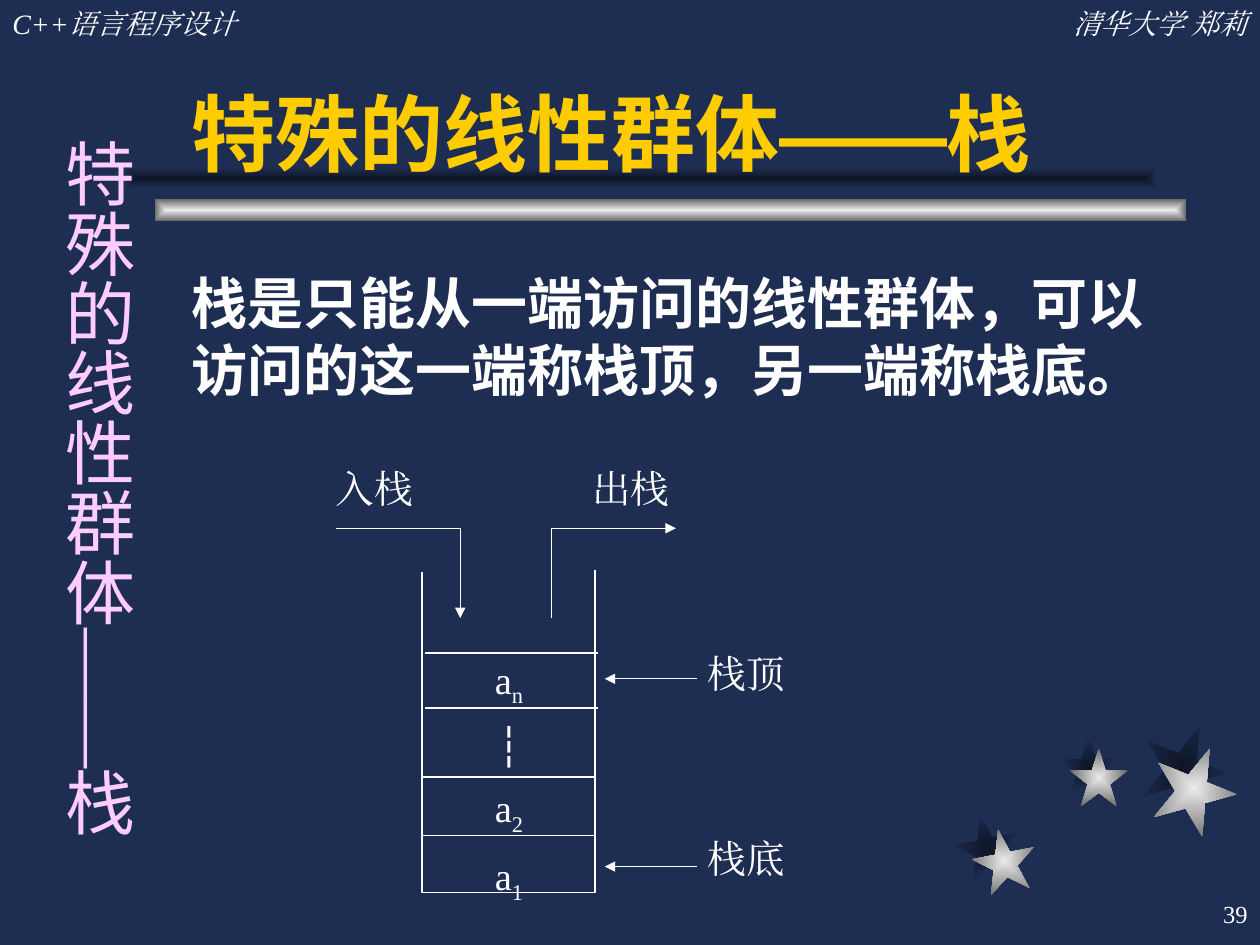
from lxml import etree
from pptx import Presentation
from pptx.dml.color import RGBColor
from pptx.enum import shapes, text
from pptx.oxml.ns import qn
from pptx.util import Pt

NAVY = RGBColor(0x1E, 0x2E, 0x53)
SHADOW = RGBColor(0x0E, 0x15, 0x26)
SILVER = RGBColor(0xEA, 0xEA, 0xEA)
GREY = RGBColor(0x6C, 0x6C, 0x6C)
WHITE = RGBColor(0xFF, 0xFF, 0xFF)
GOLD = RGBColor(0xFF, 0xCC, 0x00)
PINK = RGBColor(0xFF, 0xCC, 0xFF)
SERIF, SANS, CJK = "Times New Roman", "Arial", "Noto Sans CJK SC"
ALIGN, ANCHOR = text.PP_ALIGN, text.MSO_ANCHOR


def add_text(slide, box, paragraphs, size, font=SERIF, color=WHITE, bold=False,
             italic=False, align=ALIGN.LEFT, anchor=ANCHOR.TOP, margins=(7.2, 3.6),
             spacing=None, wrap=True, vertical=False):
    """Each paragraph is a list of (text, run options: font or baseline)."""
    frame = slide.shapes.add_textbox(*map(Pt, box)).text_frame
    frame.word_wrap = wrap
    frame.vertical_anchor = anchor
    frame.margin_left = frame.margin_right = Pt(margins[0])
    frame.margin_top = frame.margin_bottom = Pt(margins[1])
    if vertical:
        frame._txBody.bodyPr.set("vert", "eaVert")
    for index, runs in enumerate(paragraphs):
        paragraph = frame.add_paragraph() if index else frame.paragraphs[0]
        paragraph.alignment = align
        paragraph.line_spacing = spacing
        for words, options in runs:
            run = paragraph.add_run()
            run.text = words
            run.font.size = Pt(size)
            run.font.bold, run.font.italic = bold, italic
            run.font.color.rgb = color
            run.font.name = options.get("font", font)
            props = run._r.get_or_add_rPr()
            etree.SubElement(props, qn("a:ea")).set("typeface", run.font.name)
            if "baseline" in options:
                props.set("baseline", str(options["baseline"]))


def add_glow_shape(slide, kind, box, center, edge, rotation=0):
    """Draw a preset shape whose gradient runs from its centre to its edges."""
    shape = slide.shapes.add_shape(kind, *map(Pt, box))
    shape.shadow.inherit = False
    shape.rotation = rotation
    shape.line.fill.background()
    shape.fill.gradient()
    for stop, color, position in zip(shape.fill.gradient_stops, (center, edge), (0, 1)):
        stop.color.rgb = color
        stop.position = position
    gradient = shape._element.spPr.find(qn("a:gradFill"))
    linear = gradient.find(qn("a:lin"))
    radial = etree.Element(qn("a:path"))
    radial.set("path", "rect")
    focus = etree.SubElement(radial, qn("a:fillToRect"))
    for side in "ltrb":
        focus.set(side, "50000")
    gradient.replace(linear, radial)


def style_line(line_shape, arrow):
    line_shape.line.color.rgb = WHITE
    line_shape.line.width = Pt(0.75)
    if arrow:
        outline = line_shape.line._get_or_add_ln()
        etree.SubElement(outline, qn("a:tailEnd")).set("type", "triangle")


def add_line(slide, x1, y1, x2, y2, arrow=False):
    line = slide.shapes.add_connector(shapes.MSO_CONNECTOR.STRAIGHT,
                                      Pt(x1), Pt(y1), Pt(x2), Pt(y2))
    style_line(line, arrow)
    etree.SubElement(line._element.spPr, qn("a:effectLst"))


def add_bent_line(slide, points, arrow=False):
    start, *rest = [(Pt(x), Pt(y)) for x, y in points]
    builder = slide.shapes.build_freeform(*start)
    builder.add_line_segments(rest, close=False)
    bent = builder.convert_to_shape()
    bent.shadow.inherit = False
    bent.fill.background()
    style_line(bent, arrow)


def draw_stars(slide, left, top):
    # size, rotation, shadow position, star position
    stars = [(36, -11, (0, 51.8), (10, 59.8)),
             (33, 0, (59.8, 7.2), (65.6, 13.8)),
             (48, 22, (106.5, 0), (112.4, 12.2))]
    for layer, colors in ((2, (SHADOW, NAVY)), (3, (SILVER, GREY))):
        for star in stars:
            x, y = star[layer]
            add_glow_shape(slide, shapes.MSO_SHAPE.STAR_5_POINT,
                           (left + x, top + y, star[0], star[0]), *colors, rotation=star[1])


def draw_rule(slide, left, top, width, height):
    bar = shapes.MSO_SHAPE.RECTANGLE
    add_glow_shape(slide, bar, (left + 16.6, top + 18.2, width, height), SILVER, GREY)
    add_glow_shape(slide, bar, (left, top, width, height), SHADOW, NAVY)


def draw_header(slide, width):
    half = 221.8
    add_text(slide, (0, 0, half, 26.6), [[("C++语言程序设计", {})]], 16, italic=True)
    add_text(slide, (width - half, 0, half, 26.6), [[("清华大学 郑莉", {})]], 16,
             italic=True, align=ALIGN.RIGHT)


def draw_stack(slide, left, top):
    """Draw the stack with its push and pop arrows and its end labels."""
    wall_left, wall_right = left + 49.2, left + 148
    base = top + 244.4
    add_bent_line(slide, [(wall_left, top + 61.2), (wall_left, base),
                          (wall_right, base), (wall_right, top + 59.8)])

    def cell(name, index):
        return [(name, {}), (index, {"baseline": -25000})]

    add_text(slide, (left + 54.2, top + 100, 89.3, 143.3),
             [cell("a", "n"), [("┆", {})], cell("a", "2"), cell("a", "1")],
             22, align=ALIGN.CENTER, spacing=1.3, margins=(0, 0))
    for y, overhang in ((107.4, 1.7), (138.9, 1.7), (178.4, 0), (211.6, 0)):
        add_line(slide, wall_left + overhang, top + y, wall_right + overhang, top + y)

    bend_y, mouth_y = top + 36.2, top + 87.5
    push_x, pop_x = left + 71, left + 123.2
    add_bent_line(slide, [(left, bend_y), (push_x, bend_y), (push_x, mouth_y)], arrow=True)
    add_bent_line(slide, [(pop_x, mouth_y), (pop_x, bend_y), (pop_x + 71, bend_y)], arrow=True)
    for y in (122.2, 229.5):
        add_line(slide, left + 206.2, top + y, left + 153.6, top + y, arrow=True)
    for label, x, y, width in (("入栈", 0, 0, 67.7), ("出栈", 146.4, 0, 67.7),
                               ("栈顶", 212.6, 105.8, 117.4), ("栈底", 212.6, 211.7, 117.4)):
        add_text(slide, (left + x, top + y, width, 32), [[(label, {})]], 22,
                 align=ALIGN.JUSTIFY, margins=(0, 0))


def main():
    deck = Presentation()
    deck.slide_width, deck.slide_height = Pt(720), Pt(540)
    slide = deck.slides.add_slide(deck.slide_layouts[6])
    slide.background.fill.solid()
    slide.background.fill.fore_color.rgb = NAVY

    draw_stars(slide, 545.8, 414)
    draw_rule(slide, 72, 95.8, 589, 12.2)
    draw_header(slide, 720)
    add_text(slide, (570.2, 504, 149.8, 36), [[("39", {})]], 14, align=ALIGN.RIGHT,
             anchor=ANCHOR.MIDDLE, wrap=False)
    add_text(slide, (102.2, 18, 563.8, 90), [[("特殊的线性群体——栈", {})]], 48,
             font=SANS, color=GOLD, bold=True, anchor=ANCHOR.BOTTOM)
    add_text(slide, (102.2, 149.8, 570.2, 138.2),
             [[("栈是只能从一端访问的线性群体，可以访问的这一端称栈顶，另一端称栈底。", {})]],
             32, font=SANS, bold=True)
    draw_stack(slide, 192, 265.7)
    add_text(slide, (21.6, 72, 61.9, 414),
             [[("特殊的线性群体", {}), ("——", {"font": SERIF}), ("栈", {})]], 40,
             font=CJK, color=PINK, margins=(3.6, 7.2), vertical=True)
    deck.save("out.pptx")


if __name__ == "__main__":
    main()
